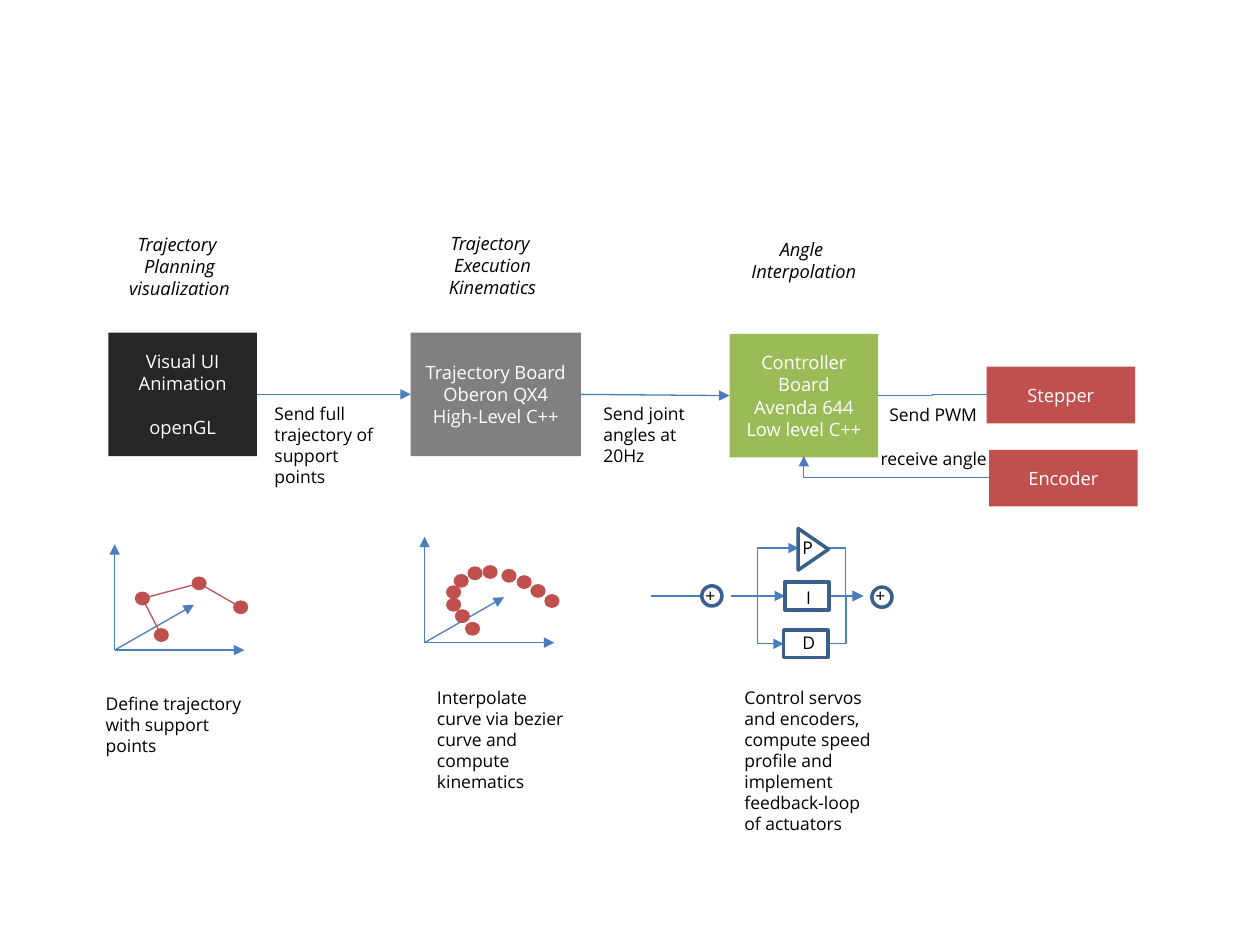
from lxml import etree
from pptx import Presentation
from pptx.dml.color import RGBColor
from pptx.enum.shapes import MSO_CONNECTOR, MSO_SHAPE
from pptx.enum.text import MSO_ANCHOR, MSO_AUTO_SIZE, PP_ALIGN
from pptx.oxml.ns import qn
from pptx.util import Inches, Pt

BLUE, NAVY, RED, BLACK, WHITE = "4B7EBC", "3A5F8C", "C0504D", "000000", "FFFFFF"

# Content: text, then left, top, width, height in inches
BOARDS = [
    (["Visual UI", "Animation", "openGL"], (0.86, 2.64, 1.18, 0.98), "262626"),
    (["Trajectory Board", "Oberon QX4", "High-Level C++"], (3.26, 2.64, 1.35, 0.98), "808080"),
    (["Controller Board", "Avenda 644", "Low level C++"], (5.79, 2.65, 1.18, 0.98), "9BBB59"),
    (["Stepper"], (7.83, 2.91, 1.18, 0.45), RED),
    (["Encoder"], (7.85, 3.57, 1.18, 0.45), RED),
]
HEADINGS = [
    (["Trajectory ", "Planning", "visualization"], (0.86, 1.8, 1.13, 0.63)),
    (["Trajectory ", "Execution", "Kinematics"], (3.26, 1.79, 1.3, 0.63)),
    (["Angle ", "Interpolation"], (5.79, 1.84, 1.18, 0.45)),
]
NOTES = [
    ("Send full trajectory of support points", (2.08, 3.15, 1.12, 0.61)),
    ("Send joint angles at 20Hz ", (4.69, 3.15, 1.12, 0.44)),
    ("Send PWM ", (6.96, 3.16, 1.12, 0.27)),
    ("receive angle", (6.89, 3.51, 1.12, 0.27)),
    ("Define trajectory with support points", (0.74, 5.45, 1.42, 0.44)),
    ("Interpolate curve via bezier curve and compute kinematics", (3.37, 5.4, 1.24, 0.77)),
    ("Control servos and encoders, compute speed profile and implement "
     "feedback-loop of actuators", (5.81, 5.4, 1.24, 1.28)),
]
AXIS_ORIGINS = [(0.91, 5.16), (3.37, 5.1)]
AXIS_TIPS = [(1.03, 0), (0.63, -0.36), (0, -0.84)]
SUPPORT_POINTS = [(1.28, 5.04), (1.13, 4.75), (1.58, 4.63), (1.91, 4.82)]
CURVE_POINTS = [(3.75, 4.99), (3.67, 4.89), (3.6, 4.8), (3.6, 4.7), (3.66, 4.61), (3.77, 4.55),
                (3.89, 4.54), (4.04, 4.57), (4.16, 4.62), (4.27, 4.69), (4.38, 4.77)]
BEZIERS = [
    ((3.74, 4.98), (3.65, 4.87), (3.56, 4.75), (3.59, 4.68)),
    ((3.59, 4.68), (3.61, 4.6), (3.76, 4.51), (3.89, 4.52)),
    ((3.89, 4.52), (4.02, 4.53), (4.19, 4.64), (4.37, 4.75)),
]
# Control loop: shape, place, rotation, symbol, place of symbol
LOOP_PARTS = [
    (MSO_SHAPE.OVAL, (5.57, 4.65, 0.16, 0.16), 0, "+", (5.5, 4.59, 0.3, 0.27)),
    (MSO_SHAPE.ISOSCELES_TRIANGLE, (6.29, 4.24, 0.33, 0.24), 90, "P", (6.27, 4.21, 0.28, 0.27)),
    (MSO_SHAPE.RECTANGLE, (6.23, 4.62, 0.35, 0.22), 0, "I", (6.3, 4.61, 0.24, 0.27)),
    (MSO_SHAPE.RECTANGLE, (6.22, 5, 0.35, 0.22), 0, "D", (6.27, 4.97, 0.3, 0.27)),
    (MSO_SHAPE.OVAL, (6.92, 4.66, 0.16, 0.16), 0, "+", (6.85, 4.59, 0.3, 0.27)),
]
SPLIT, MERGE = (5.8, 4.73), (6.85, 4.73)
BRANCHES = [((6.34, 4.35), 0.395, (6.57, 4.35)),
            ((6.23, 4.73), 0.5, (6.58, 4.73)),
            ((6.22, 5.11), 0.5, (6.58, 5.11))]

deck = Presentation()
deck.slide_width, deck.slide_height = Inches(10), Inches(7.5)
page = deck.slides.add_slide(deck.slide_layouts[6])


def color(value):
    return RGBColor.from_string(value)


def inches(values):
    return [Inches(value) for value in values]


def write(box, lines, size, tone, align, italic=False, gap_before=None, **frame_format):
    frame = box.text_frame
    for name, value in frame_format.items():
        setattr(frame, name, value)
    for index, line in enumerate(lines):
        para = frame.paragraphs[0] if index == 0 else frame.add_paragraph()
        para.alignment = align
        if index == gap_before:
            para.space_before = Pt(size * 1.2)
        span = para.add_run()
        span.text = line
        for name, value in {"name": "Open Sans", "size": Pt(size), "italic": italic}.items():
            setattr(span.font, name, value)
        span.font.color.rgb = color(tone)


def add_text(shapes, lines, place, size=10, align=PP_ALIGN.LEFT, italic=False, wrap=True):
    write(shapes.add_textbox(*inches(place)), lines, size, BLACK, align, italic,
          word_wrap=wrap, auto_size=MSO_AUTO_SIZE.SHAPE_TO_FIT_TEXT)


def add_box(shapes, kind, place, fill=None, outline=None):
    box = shapes.add_shape(kind, *inches(place))
    box.shadow.inherit = False
    style(box, fill, outline)
    return box


def style(box, fill, outline):
    if fill:
        box.fill.solid()
        box.fill.fore_color.rgb = color(fill)
    else:
        box.fill.background()
    if outline:
        box.line.color.rgb = color(outline)
        box.line.width = Pt(2)
    else:
        box.line.fill.background()


def add_line(shapes, start, end, tone=BLUE, arrow=True, bend=None, corner=False):
    kind = MSO_CONNECTOR.ELBOW if bend or corner else MSO_CONNECTOR.STRAIGHT
    line = shapes.add_connector(kind, *inches(start + end))
    line.line.color.rgb = color(tone)
    line.line.width = Pt(0.75)
    properties = line._element.spPr
    if arrow:
        etree.SubElement(line.line._get_or_add_ln(), qn("a:tailEnd"), type="triangle")
    etree.SubElement(properties, qn("a:effectLst"))
    geometry = properties.find(qn("a:prstGeom"))
    if corner:
        geometry.set("prst", "bentConnector2")
    elif bend:
        guides = geometry.find(qn("a:avLst"))
        if guides is None:
            guides = etree.SubElement(geometry, qn("a:avLst"))
        etree.SubElement(guides, qn("a:gd"), name="adj1", fmla=f"val {round(bend * 100000)}")


def add_dots(points):
    for x, y in points:
        add_box(page.shapes, MSO_SHAPE.OVAL, (x - 0.06, y - 0.055, 0.12, 0.11), RED)


def bezier_point(controls, t):
    weights = ((1 - t) ** 3, 3 * t * (1 - t) ** 2, 3 * t * t * (1 - t), t ** 3)
    return tuple(sum(w * point[axis] for w, point in zip(weights, controls)) for axis in (0, 1))


# Boards, headings and notes
for lines, place, fill in BOARDS:
    board = add_box(page.shapes, MSO_SHAPE.RECTANGLE, place, fill)
    write(board, lines, 10.5, WHITE, PP_ALIGN.CENTER, word_wrap=True,
          gap_before=2 if "openGL" in lines else None, vertical_anchor=MSO_ANCHOR.MIDDLE)
for lines, place in HEADINGS:
    add_text(page.shapes, lines, place, 10.5, PP_ALIGN.CENTER, True)
for note, place in NOTES:
    add_text(page.shapes, [note], place)

# Links between boards
add_line(page.shapes, (2.04, 3.13), (3.26, 3.13))
add_line(page.shapes, (4.61, 3.13), (5.79, 3.14))
add_line(page.shapes, (6.97, 3.14), (7.83, 3.13), arrow=False, bend=0.5)
add_line(page.shapes, (7.85, 3.79), (6.38, 3.62), corner=True)

# Axes, support points and interpolated curve
for x, y in AXIS_ORIGINS:
    for across, down in AXIS_TIPS:
        add_line(page.shapes, (x, y), (x + across, y + down))
for start, end in zip(SUPPORT_POINTS, SUPPORT_POINTS[1:]):
    add_line(page.shapes, start, end, RED, arrow=False)
add_dots(SUPPORT_POINTS)
steps = 12
trace = [bezier_point(part, step / steps) for part in BEZIERS for step in range(steps + 1)]
outline = page.shapes.build_freeform(*trace[0], scale=Inches(1))
outline.add_line_segments(trace[1:], close=False)
curve = outline.convert_to_shape()
curve.shadow.inherit = False
style(curve, None, NAVY)
add_dots(CURVE_POINTS)

# Control loop
loop = page.shapes.add_group_shape().shapes
add_line(loop, (5.17, 4.73), (5.57, 4.73), arrow=False)
for entry, bend, leave in BRANCHES:
    add_line(loop, SPLIT, entry, bend=bend)
    add_line(loop, leave, MERGE, bend=0.5)
for kind, place, rotation, symbol, symbol_place in LOOP_PARTS:
    add_box(loop, kind, place, outline=NAVY).rotation = rotation
    add_text(loop, [symbol], symbol_place, wrap=False)

deck.save("out.pptx")
